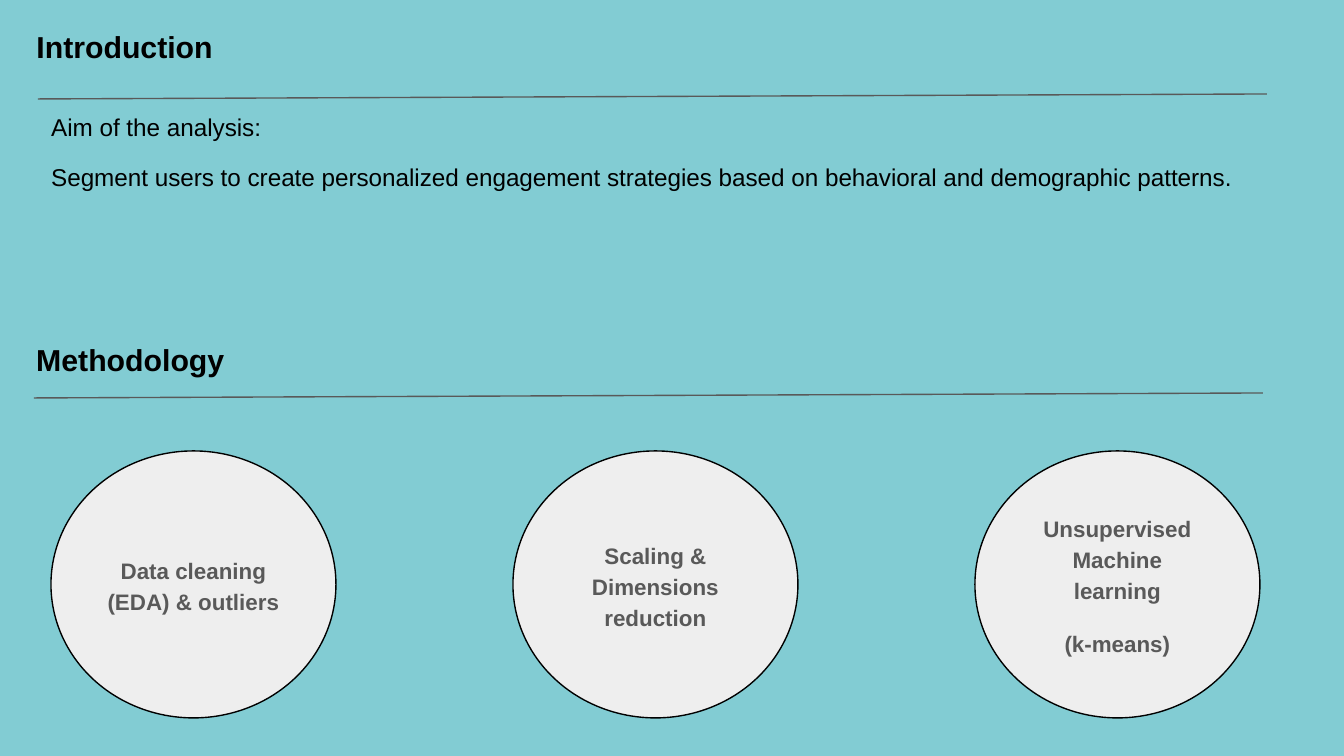
from lxml import etree
from pptx import Presentation, util as u
from pptx.dml.color import RGBColor
from pptx.enum import shapes, text
from pptx.oxml.ns import qn

PX = u.Inches(10) / 1344


def px(*lengths):
    return [u.Emu(round(n * PX)) for n in lengths]


def write(sp, paragraphs, size, color="000000", bold=False, align=text.PP_ALIGN.LEFT,
          anchor=text.MSO_ANCHOR.TOP, line=1.0, gap=12, last_gap=0):
    """Fill a shape with paragraphs; gap separates them, last_gap follows the last."""
    tf = sp.text_frame
    tf.word_wrap = True
    tf.auto_size = text.MSO_AUTO_SIZE.NONE
    tf.vertical_anchor = anchor
    tf.margin_left = tf.margin_right = tf.margin_top = tf.margin_bottom = u.Inches(0.1)
    for i, words in enumerate(paragraphs):
        p = tf.add_paragraph() if i else tf.paragraphs[0]
        p.alignment, p.line_spacing = align, line
        p.space_before = u.Pt(gap if i else 0)
        p.space_after = u.Pt(last_gap if i == len(paragraphs) - 1 else 0)
        r = p.add_run()
        r.text = words
        r.font.name, r.font.size, r.font.bold = "Arial", u.Pt(size), bold
        r.font.color.rgb = RGBColor.from_string(color)


prs = Presentation()
prs.slide_width, prs.slide_height = px(1344, 756)
s = prs.slides.add_slide(prs.slide_layouts[5])
s.background.fill.solid()
s.background.fill.fore_color.rgb = RGBColor.from_string("82CCD3")

# Introduction
title = s.shapes.title
title.left, title.top, title.width, title.height = px(23, 15, 1130, 79)
write(title, ["Introduction"], 16.2, bold=True)
aim = s.shapes.add_textbox(*px(38, 101, 1253, 108))
write(aim, ["Aim of the analysis:",
            "Segment users to create personalized engagement strategies "
            "based on behavioral and demographic patterns."],
      13, line=0.95, last_gap=12)

# Methodology
heading = s.shapes.add_textbox(*px(23, 328, 1253, 85))
write(heading, ["Methodology"], 16.2, bold=True)

steps = [["Data cleaning (EDA) & outliers"],
         ["Scaling & Dimensions reduction"],
         ["Unsupervised Machine learning", "(k-means)"]]
for i, step in enumerate(steps):
    sp = s.shapes.add_shape(shapes.MSO_SHAPE.OVAL, *px(51 + 462 * i, 451, 285, 267))
    sp.shadow.inherit = False
    sp.fill.solid()
    sp.fill.fore_color.rgb = RGBColor.from_string("EEEEEE")
    sp.line.color.rgb = RGBColor.from_string("000000")
    sp.line.width = u.Pt(0.75)
    write(sp, step, 12, color="595959", bold=True, align=text.PP_ALIGN.CENTER,
          anchor=text.MSO_ANCHOR.MIDDLE, line=1.15, last_gap=12)

# Rules under the two headings
for ends in [(38, 99, 1267, 94), (34, 398, 1263, 393)]:
    rule = s.shapes.add_connector(shapes.MSO_CONNECTOR.STRAIGHT, *px(*ends))
    rule.line.color.rgb = RGBColor.from_string("595959")
    rule.line.width = u.Pt(0.75)
    etree.SubElement(rule._element.spPr, qn("a:effectLst"))

prs.save("out.pptx")
